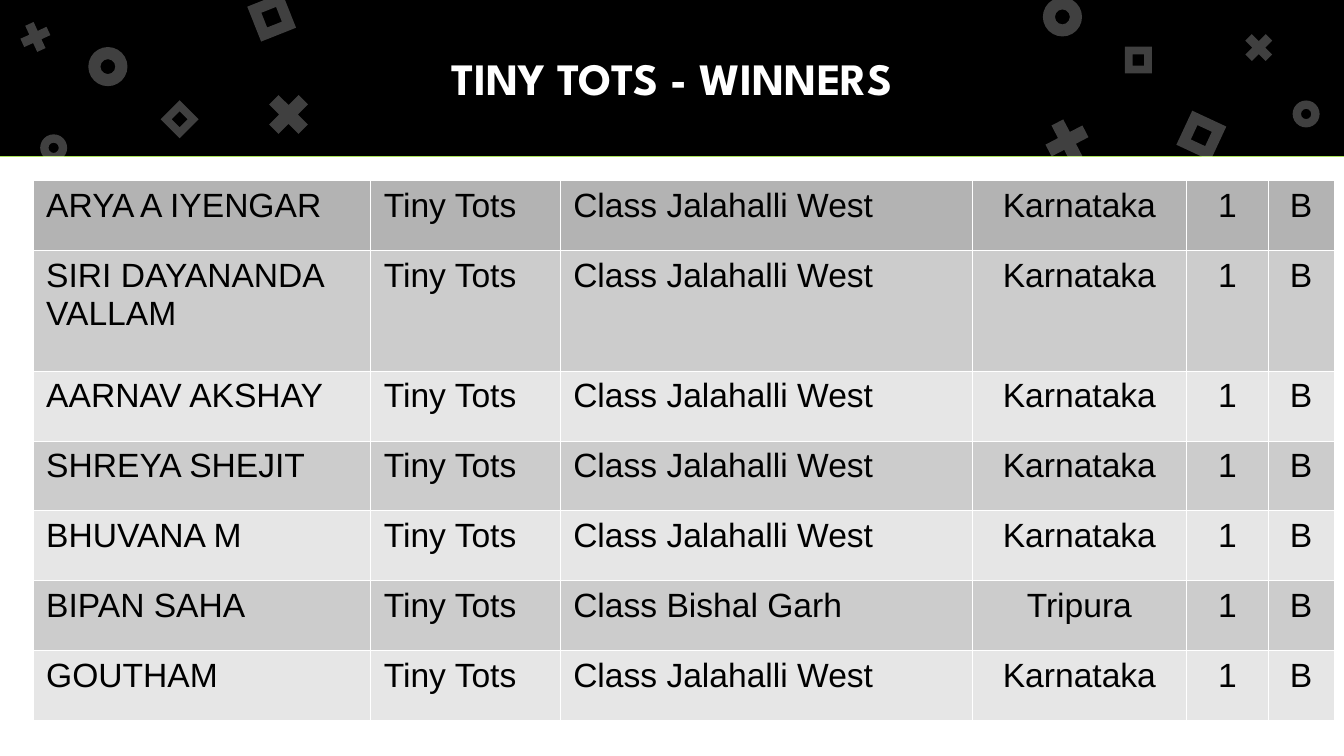
from typing import NamedTuple

from lxml.etree import SubElement
from pptx import Presentation
from pptx.dml.color import RGBColor
from pptx.enum.shapes import MSO_SHAPE
from pptx.enum.text import MSO_ANCHOR, PP_ALIGN
from pptx.oxml.ns import qn
from pptx.util import Cm, Pt

DONUT, CROSS, FRAME = MSO_SHAPE.DONUT, MSO_SHAPE.MATH_MULTIPLY, MSO_SHAPE.FRAME
ADJUST = {DONUT: 0.31, CROSS: 0.235, FRAME: 0.289}
WIDTH, HEIGHT, BAND = 25.4, 14.29, 2.95


class Mark(NamedTuple):
    kind: MSO_SHAPE
    left: float
    top: float
    size: float
    turn: float = 0


class Entry(NamedTuple):
    name: str
    centre: str = "Class Jalahalli West"
    state: str = "Karnataka"
    group: str = "Tiny Tots"
    rank: str = "1"
    grade: str = "B"

    def cells(self) -> tuple:
        return (self.name, self.group, self.centre, self.state, self.rank, self.grade)


MARKS = [
    Mark(DONUT, 1.67, 0.89, 0.74),
    Mark(CROSS, 4.92, 1.63, 1.07),
    Mark(FRAME, 4.78, -0.03, 0.71, 338.4),
    Mark(DONUT, 19.71, -0.05, 0.74),
    Mark(CROSS, 19.63, 2.13, 1.07, 17.5),
    Mark(FRAME, 22.35, 2.21, 0.71, 25),
    Mark(DONUT, 0.76, 2.54, 0.51),
    Mark(CROSS, 0.3, 0.33, 0.74, 20.4),
    Mark(FRAME, 3.14, 2, 0.51, 45),
    Mark(DONUT, 24.43, 1.9, 0.51),
    Mark(CROSS, 23.42, 0.53, 0.74),
    Mark(FRAME, 21.26, 0.88, 0.51),
]
ENTRIES = [
    Entry("ARYA A IYENGAR"),
    Entry("SIRI DAYANANDA VALLAM"),
    Entry("AARNAV AKSHAY"),
    Entry("SHREYA SHEJIT"),
    Entry("BHUVANA M"),
    Entry("BIPAN SAHA", "Class Bishal Garh", "Tripura"),
    Entry("GOUTHAM"),
]
COLS = [6.38, 3.58, 7.8, 4.04, 1.55, 1.24]
ROW, TALL = 1.32, 2.28


def paint(fill, hue: str) -> None:
    fill.solid()
    fill.fore_color.rgb = RGBColor.from_string(hue)


def write(frame, text: str, *, font: str = "Arial", size: float = 18,
          hue: str = "000000", bold: bool = False, align=PP_ALIGN.LEFT) -> None:
    frame.text = text
    para = frame.paragraphs[0]
    para.alignment = align
    para.font.name, para.font.size, para.font.bold = font, Pt(size), bold
    para.font.color.rgb = RGBColor.from_string(hue)


def add_block(slide, kind, left: float, top: float, width: float, height: float, hue: str):
    shape = slide.shapes.add_shape(kind, Cm(left), Cm(top), Cm(width), Cm(height))
    shape.shadow.inherit = False
    shape.line.fill.background()
    paint(shape.fill, hue)
    return shape


def add_mark(slide, mark: Mark) -> None:
    shape = add_block(slide, mark.kind, mark.left, mark.top, mark.size, mark.size, "FFFFFF")
    shape.rotation = mark.turn
    shape.adjustments[0] = ADJUST[mark.kind]
    tint = shape.element.spPr.find(f".//{qn('a:srgbClr')}")
    SubElement(tint, qn("a:alpha"), val="25000")


def add_edges(cell) -> None:
    props = cell._tc.get_or_add_tcPr()
    for side in ("lnL", "lnR", "lnT", "lnB"):
        line = SubElement(props, qn(f"a:{side}"), w=str(Pt(0.06)))
        fill = SubElement(line, qn("a:solidFill"))
        SubElement(fill, qn("a:srgbClr"), val="FFFFFF")


def add_winners(slide, entries: list[Entry]) -> None:
    heights = [TALL if i == 1 else ROW for i in range(len(entries))]
    table = slide.shapes.add_table(len(entries), len(COLS), Cm(0.62), Cm(3.41),
                                   Cm(sum(COLS)), Cm(sum(heights))).table
    for col, width in zip(table.columns, COLS):
        col.width = Cm(width)
    for i, (row, entry) in enumerate(zip(table.rows, entries)):
        row.height = Cm(heights[i])
        hue = "B3B3B3" if i == 0 else ("E6E6E6", "CCCCCC")[i % 2]
        for j, (cell, text) in enumerate(zip(row.cells, entry.cells())):
            write(cell.text_frame, text, align=PP_ALIGN.LEFT if j < 3 else PP_ALIGN.CENTER)
            add_edges(cell)
            paint(cell.fill, hue)


def add_title(slide, text: str) -> None:
    title = slide.shapes.title
    title.left, title.top, title.width, title.height = Cm(1.27), 0, Cm(22.86), Cm(BAND)
    frame = title.text_frame
    frame.word_wrap = True
    frame.vertical_anchor = MSO_ANCHOR.MIDDLE
    frame.margin_left = frame.margin_right = Cm(0.25)
    frame.margin_top = frame.margin_bottom = Cm(0.25)
    write(frame, text, font="League Spartan", size=24, hue="FFFFFF",
          bold=True, align=PP_ALIGN.CENTER)
    # Bring the title in front of the band
    slide.shapes.element.append(title.element)


def main() -> None:
    deck = Presentation()
    deck.slide_width, deck.slide_height = Cm(WIDTH), Cm(HEIGHT)
    slide = deck.slides.add_slide(deck.slide_layouts[5])

    # Backdrop: a thin green line shows between band and page
    paint(slide.background.fill, "7BD100")
    add_block(slide, MSO_SHAPE.RECTANGLE, 0, 0, WIDTH, BAND, "000000")
    page = BAND + 0.01
    add_block(slide, MSO_SHAPE.RECTANGLE, 0, page, WIDTH, HEIGHT - page, "FFFFFF")

    # Band ornaments
    for mark in MARKS:
        add_mark(slide, mark)

    # Title and winners
    add_title(slide, "TINY TOTS - WINNERS")
    add_winners(slide, ENTRIES)
    deck.save("out.pptx")


if __name__ == "__main__":
    main()
